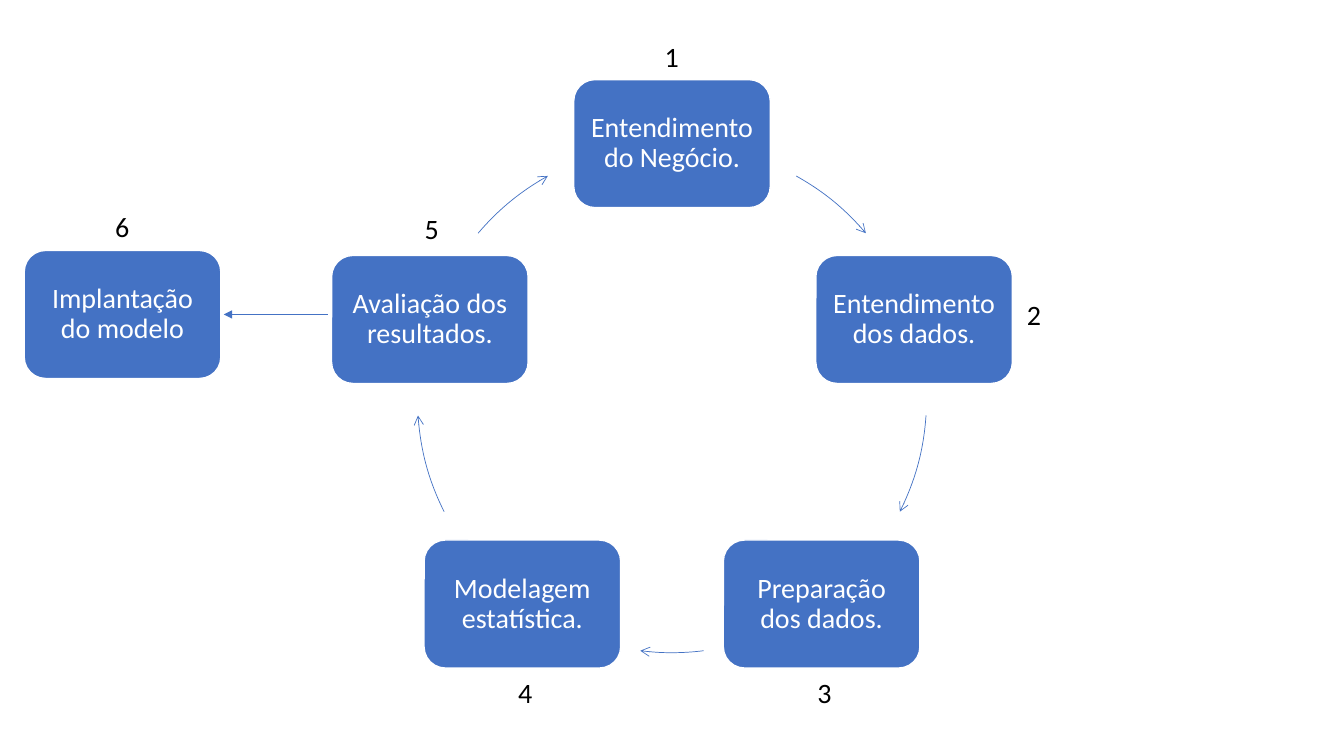
"""Builds a slide showing a five-stage data project cycle and its deployment step."""
import math

from lxml import etree
from pptx import Presentation
from pptx.dml.color import RGBColor
from pptx.enum.shapes import MSO_CONNECTOR, MSO_SHAPE
from pptx.enum.text import MSO_ANCHOR, MSO_AUTO_SIZE, PP_ALIGN
from pptx.oxml.ns import qn
from pptx.util import Inches, Pt

BLUE = RGBColor(0x44, 0x72, 0xC4)
WHITE = RGBColor(0xFF, 0xFF, 0xFF)
BLACK = RGBColor(0x00, 0x00, 0x00)
ROUNDED, ARC = MSO_SHAPE.ROUNDED_RECTANGLE, MSO_SHAPE.ARC
STRAIGHT = MSO_CONNECTOR.STRAIGHT
CENTER, LEFT = PP_ALIGN.CENTER, PP_ALIGN.LEFT
MIDDLE, GROW = MSO_ANCHOR.MIDDLE, MSO_AUTO_SIZE.SHAPE_TO_FIT_TEXT

CYCLE = [
    ("Entendimento do Negócio.", (-0.17, -1.08)),
    ("Entendimento dos dados.", (1.02, -0.27)),
    ("Preparação dos dados.", (-0.14, 0.66)),
    ("Modelagem estatística.", (-0.14, 0.66)),
    ("Avaliação dos resultados.", (-0.15, -1.12)),
]
DEPLOYMENT = ("Implantação do modelo", (-0.17, -1.09))
ARC_ANGLES = [(29.2, 49.6), (93.9, 116.5), (172.85, 187.15), (243.5, 266.1), (310.4, 330.8)]

PAGE_WIDTH, PAGE_HEIGHT = 13.33, 7.5
CENTER_X, CENTER_Y = PAGE_WIDTH / 2, 3.95
RADIUS = 2.525
BOX_WIDTH, BOX_HEIGHT = 1.95, 1.27
NUMBER_WIDTH, NUMBER_HEIGHT = 0.57, 0.44
DEPLOYMENT_CENTER = (1.215, 3.12)
LINK_START, LINK_END = 3.25, 2.22
INSET = 0.08
FONT = {"name": "Calibri", "size": Pt(20)}


def write(para, text, color, alignment):
    """Puts one formatted span of text in a paragraph."""
    para.alignment = alignment
    span = para.add_run()
    span.text = text
    for key, value in FONT.items():
        setattr(span.font, key, value)
    span.font.color.rgb = color


def add_stage(page, number, text, center, offset):
    """Adds a stage box and its number."""
    x, y = center
    box = page.shapes.add_shape(
        ROUNDED, Inches(x - BOX_WIDTH / 2), Inches(y - BOX_HEIGHT / 2),
        Inches(BOX_WIDTH), Inches(BOX_HEIGHT))
    box.shadow.inherit = False
    box.fill.solid()
    box.fill.fore_color.rgb = BLUE
    box.line.color.rgb = WHITE
    box.line.width = Pt(1)
    frame = box.text_frame
    frame.word_wrap = True
    frame.vertical_anchor = MIDDLE
    for side in ("left", "right", "top", "bottom"):
        setattr(frame, f"margin_{side}", Inches(INSET))
    frame.paragraphs[0].line_spacing = 0.9
    write(frame.paragraphs[0], text, WHITE, CENTER)

    label = page.shapes.add_textbox(
        Inches(x + offset[0]), Inches(y + offset[1]),
        Inches(NUMBER_WIDTH), Inches(NUMBER_HEIGHT))
    label.text_frame.word_wrap = True
    label.text_frame.auto_size = GROW
    write(label.text_frame.paragraphs[0], str(number), BLACK, LEFT)


def style_arrow(shape, head):
    """Gives a line its colour, width and end arrowhead."""
    shape.line.color.rgb = BLUE
    shape.line.width = Pt(0.5)
    outline = shape.line._get_or_add_ln()
    etree.SubElement(outline, qn("a:tailEnd"), type=head)


def add_arc(page, start, end):
    """Adds a clockwise arrow along the cycle, with angles measured from the top."""
    arc = page.shapes.add_shape(
        ARC, Inches(CENTER_X - RADIUS), Inches(CENTER_Y - RADIUS),
        Inches(2 * RADIUS), Inches(2 * RADIUS))
    arc.shadow.inherit = False
    arc.fill.background()
    for index, angle in enumerate((start, end)):
        arc.adjustments[index] = (angle - 90) % 360 * 0.6
    style_arrow(arc, "arrow")


def main():
    """Builds and saves the deck."""
    deck = Presentation()
    deck.slide_width, deck.slide_height = Inches(PAGE_WIDTH), Inches(PAGE_HEIGHT)
    page = deck.slides.add_slide(deck.slide_layouts[6])

    for start, end in ARC_ANGLES:
        add_arc(page, start, end)
    for index, (text, offset) in enumerate(CYCLE):
        angle = index * math.tau / len(CYCLE)
        center = (CENTER_X + RADIUS * math.sin(angle), CENTER_Y - RADIUS * math.cos(angle))
        add_stage(page, index + 1, text, center, offset)
    text, offset = DEPLOYMENT
    add_stage(page, len(CYCLE) + 1, text, DEPLOYMENT_CENTER, offset)

    link_y = Inches(DEPLOYMENT_CENTER[1])
    link = page.shapes.add_connector(
        STRAIGHT, Inches(LINK_START), link_y, Inches(LINK_END), link_y)
    style_arrow(link, "triangle")
    etree.SubElement(link._element.spPr, qn("a:effectLst"))
    deck.save("out.pptx")


if __name__ == "__main__":
    main()
